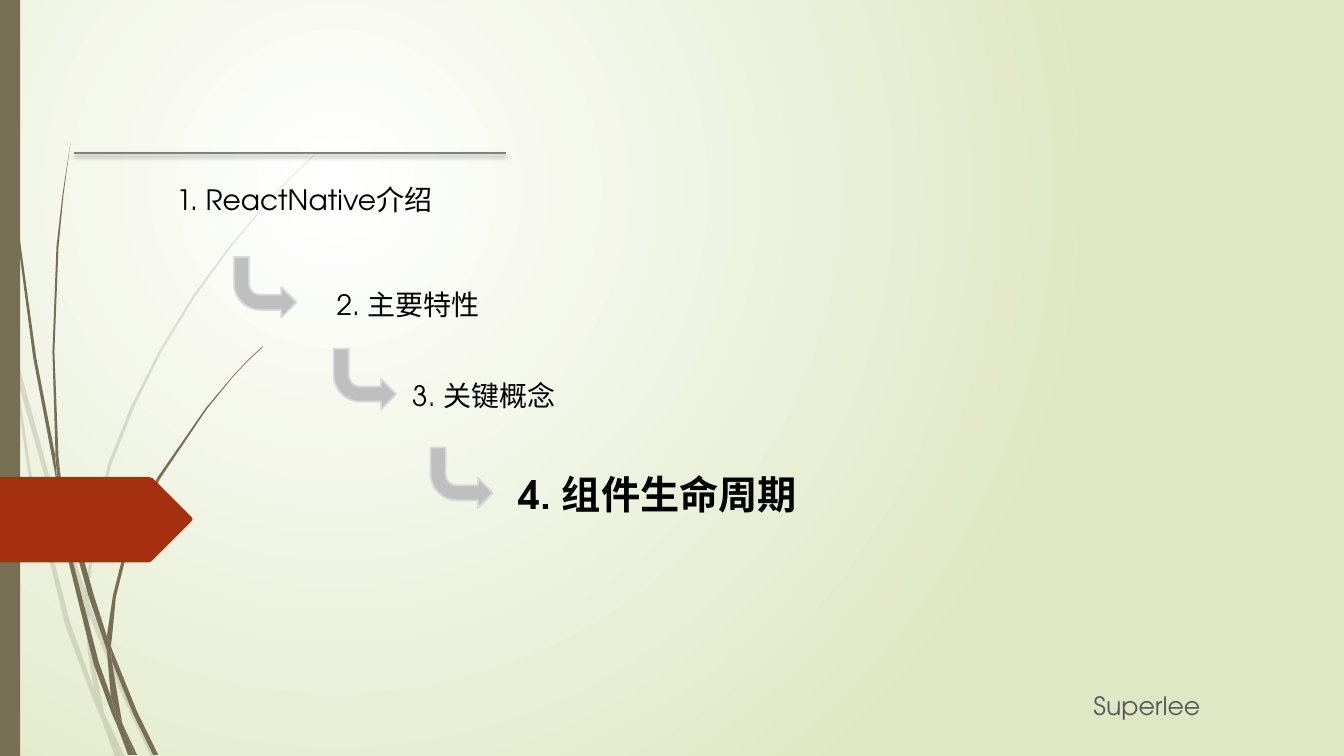
from lxml import etree
from pptx import Presentation
from pptx import util as u
from pptx.dml.color import RGBColor
from pptx.enum import shapes, text
from pptx.oxml.ns import qn

# Content: all places are columns and rows of a one-inch grid
COLS, ROWS = 13.33, 7.5
FONT = "TeX Gyre Adventor"
COLORS = {"white": "FFFFFF", "sage": "DFE8C4", "olive": "766F54", "rust": "A53010",
          "gray": "595959", "rule": "808080", "black": "000000",
          "arrow": "BFBFBF", "arrow_edge": "D9D9D9"}

# Topic: words, box, size, bold
TOPICS = [
    ("1. ReactNative介绍", (1.65, 1.76, 3.79, 0.44), 20, False),
    ("2. 主要特性", (3.24, 2.8, 2.68, 0.44), 20, False),
    ("3. 关键概念", (3.99, 3.71, 3.31, 0.44), 20, False),
    ("4. 组件生命周期", (5.04, 4.62, 3.58, 0.57), 28, True),
]
ARROWS = [(2.32, 2.55), (3.31, 3.46), (4.27, 4.44)]
ARROW_SIZE = (0.62, 0.6)
PRESENTER = ("Superlee", (9.62, 6.8, 3.51, 0.67), 18)
RULE = (0.73, 1.52, 5.02, 1.52)
SIDE_BAR = (0, 0, 0.2, ROWS)

# Outlines: corner points as "column,row"
PALE_GRASS = [
    "0.11,3.5 0.09,3.22 0,2.82 0,2.99 0.1,3.44",
    "0.58,5.22 0.84,5.99 0.85,5.86 0.62,5.2 0.14,3.45 0.17,3.76",
    "0.92,6.07 0.88,5.96 0.88,6.1 1.23,6.94 1.5,7.51 1.55,7.51 1.27,6.92",
    "1.19,7.51 1.24,7.51 1.05,7.11",
    "0.93,6.83 0.7,6.19 0.31,4.69 0.17,3.76 0.11,3.5 0.28,4.7 0.65,6.21 0.92,6.93 1.01,7.14 "
    "0.99,7.07",
    "0.84,5.99 0.87,6.46 0.93,6.83 0.96,6.92 1.05,7.11 1.03,7.06 0.91,6.46 0.88,6.1 0.88,6.08",
    "0.88,5.84 0.97,5.22 1.1,4.62 1.33,4.04 1.6,3.49 1.93,2.95 2.29,2.45 2.68,1.98 2.9,1.75 "
    "3.12,1.54 3.12,1.53 2.89,1.75 2.68,1.97 2.28,2.44 1.91,2.94 1.58,3.48 1.3,4.03 1.07,4.61 "
    "0.93,5.22 0.85,5.84 0.85,5.86 0.88,5.96",
    "1.01,7.14 1.14,7.51 1.19,7.51",
    "0.88,6.08 0.88,6.1 0.88,5.96 0.85,5.86 0.84,5.99",
    "0.96,6.92 0.93,6.83 0.99,7.07 1.01,7.14 1.19,7.51 1.05,7.11",
]
DARK_GRASS = [
    "0.07,1.1 0.17,2.33 0.33,3.55 0.56,4.77 0.57,4.81 0.55,4.57 0.55,4.53 0.36,3.55 0.19,2.32 "
    "0.08,1.09 0.05,0.48 0.04,0 0.03,0 0.04,0.48",
    "0.88,5.92 1.06,6.45 1.06,6.33 1.06,6.31 0.93,5.9 0.6,4.72 0.64,5.05",
    "1.13,6.49 1.1,6.41 1.11,6.56 1.32,7.08 1.52,7.49 1.57,7.49 1.36,7.06",
    "1.1,6.91 0.98,6.57 0.72,5.56 0.64,5.05 0.57,4.77 0.68,5.57 0.93,6.59 1.11,7.08 1.17,7.22 "
    "1.16,7.17",
    "0.6,4.72 0.58,4.53 0.54,3.49 0.58,2.45 0.63,1.93 0.7,1.41 0.62,1.93 0.56,2.45 0.52,3.49 "
    "0.55,4.49",
    "1.33,7.49 1.36,7.49 1.22,7.19",
    "0.57,4.77 0.64,5.05 0.6,4.72 0.55,4.49 0.55,4.53",
    "1.11,6.33 1.15,5.92 1.25,5.52 1.4,5.13 1.58,4.76 2.05,4.06 2.31,3.74 2.45,3.59 2.61,3.44 "
    "2.6,3.44 2.45,3.58 2.31,3.73 2.04,4.05 1.56,4.74 1.37,5.12 1.22,5.51 1.12,5.91 1.06,6.31 "
    "1.1,6.41",
    "1.17,7.22 1.27,7.49 1.31,7.49",
    "1.06,6.45 1.1,6.91 1.16,7.06 1.22,7.19 1.21,7.16 1.11,6.56 1.09,6.51",
    "1.06,6.45 1.09,6.51 1.11,6.56 1.1,6.41 1.06,6.31 1.06,6.33",
    "1.16,7.06 1.1,6.91 1.16,7.17 1.17,7.22 1.3,7.49 1.33,7.49 1.22,7.19",
]
TAG = "1.47,5.58 1.5,5.57 1.51,5.56 1.9,5.17 1.91,5.15 1.9,5.13 1.51,4.74 1.5,4.74 1.47,4.73 0,4.73 0,5.58"


def rgb(name):
    return RGBColor.from_string(COLORS[name])


def grid(values):
    return [u.Inches(v) for v in values]


def paint(sp, fill, line=None, alpha=None):
    sp.shadow.inherit = False
    sp.fill.solid()
    sp.fill.fore_color.rgb = rgb(fill)
    if alpha:
        clr = sp.element.spPr.find(qn("a:solidFill"))[0]
        etree.SubElement(clr, qn("a:alpha"), val=str(alpha * 1000))
    if line:
        sp.line.color.rgb, sp.line.width = rgb(line), u.Pt(1.25)
    else:
        sp.line.fill.background()


def add_outline(parent, outline, fill, alpha=None):
    pts = [grid(map(float, pair.split(","))) for pair in outline.split()]
    builder = parent.build_freeform(*pts[0])
    builder.add_line_segments(pts[1:], close=True)
    paint(builder.convert_to_shape(), fill, alpha=alpha)


def add_words(s, words, box, size, color, bold=False, align=None, grow=False, before=None):
    tf = s.shapes.add_textbox(*grid(box)).text_frame
    tf.word_wrap = True
    if grow:
        tf.auto_size = text.MSO_AUTO_SIZE.SHAPE_TO_FIT_TEXT
    p = tf.paragraphs[0]
    p.alignment, p.space_before = align, before
    r = p.add_run()
    r.text = words
    r.font.color.rgb = rgb(color)
    for key, value in {"name": FONT, "size": u.Pt(size), "bold": bold}.items():
        setattr(r.font, key, value)


def main():
    prs = Presentation()
    prs.slide_width, prs.slide_height = grid((COLS, ROWS))
    s = prs.slides.add_slide(prs.slide_layouts[6])

    # Background glow
    fill = s.background.fill
    fill.gradient()
    for stop, name, place in zip(fill.gradient_stops, ("white", "sage"), (0, 1)):
        stop.color.rgb, stop.position = rgb(name), place
    grad = s.element.find(".//" + qn("a:gradFill"))
    grad.remove(grad.find(qn("a:lin")))
    glow = etree.SubElement(grad, qn("a:path"), path="circle")
    etree.SubElement(glow, qn("a:fillToRect"), l="50000", t="50000", r="100000", b="100000")

    # Grass, side bar and tag
    for blades, alpha in ((PALE_GRASS, 20), (DARK_GRASS, None)):
        clump = s.shapes.add_group_shape()
        for blade in blades:
            add_outline(clump.shapes, blade, "olive", alpha)
    paint(s.shapes.add_shape(shapes.MSO_SHAPE.RECTANGLE, *grid(SIDE_BAR)), "olive")
    add_outline(s.shapes, TAG, "rust")

    # Presenter and rule
    add_words(s, *PRESENTER, "gray", align=text.PP_ALIGN.CENTER, before=u.Pt(10))
    rule = s.shapes.add_connector(shapes.MSO_CONNECTOR.STRAIGHT, *grid(RULE))
    rule.line.color.rgb, rule.line.width = rgb("rule"), u.Pt(1.75)
    effects = etree.SubElement(rule.element.spPr, qn("a:effectLst"))
    shade = etree.SubElement(effects, qn("a:outerShdw"), blurRad=str(int(u.Pt(3))),
                             dist=str(int(u.Pt(2))), dir="5400000", rotWithShape="0")
    clr = etree.SubElement(shade, qn("a:srgbClr"), val=COLORS["black"])
    etree.SubElement(clr, qn("a:alpha"), val="25000")

    # Topics and the arrows between them
    for words, box, size, bold in TOPICS:
        add_words(s, words, box, size, "black", bold, grow=True)
    for place in ARROWS:
        sp = s.shapes.add_shape(shapes.MSO_SHAPE.BENT_ARROW, *grid(place + ARROW_SIZE))
        paint(sp, "arrow", "arrow_edge")
        sp.element.spPr.find(qn("a:xfrm")).set("flipV", "1")

    prs.save("out.pptx")


if __name__ == "__main__":
    main()
